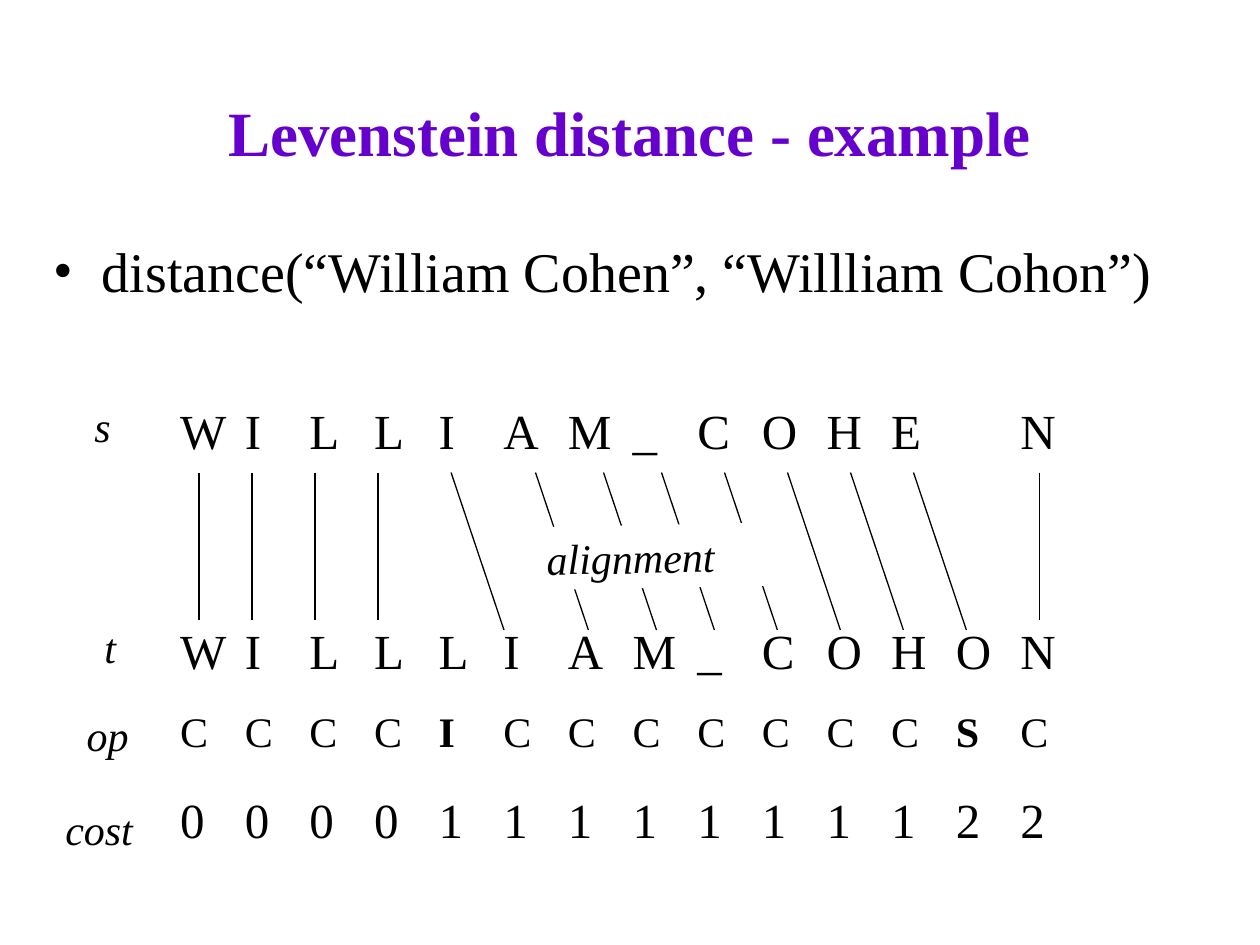
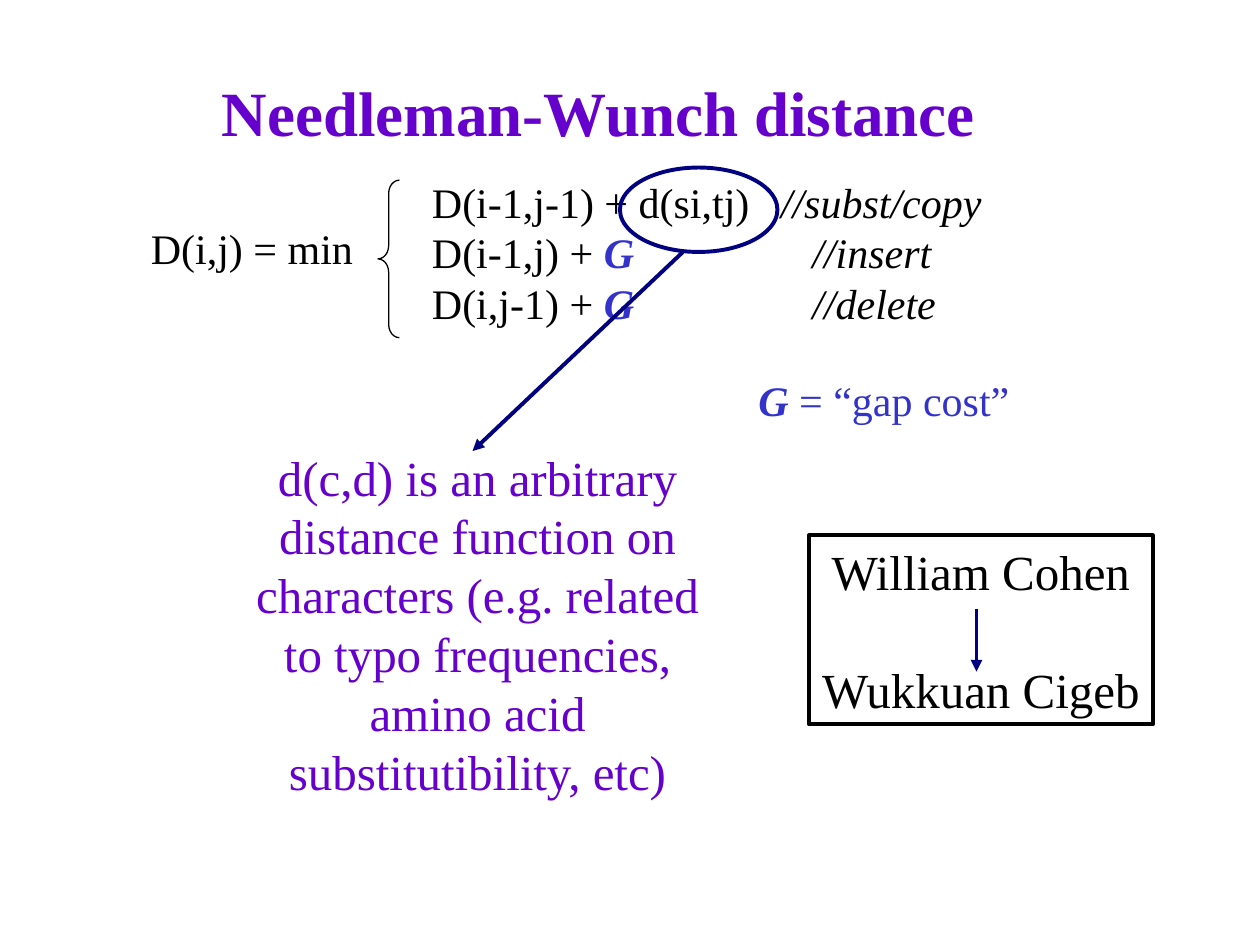
"""Build two slides on edit distances: an alignment example and a recurrence."""
import dataclasses

import pptx
import pptx.dml.color
import pptx.enum.shapes
import pptx.enum.text
import pptx.oxml
import pptx.oxml.ns
import pptx.util

Inches = pptx.util.Inches
Pt = pptx.util.Pt
Kind = pptx.enum.shapes.MSO_SHAPE
Align = pptx.enum.text.PP_ALIGN
Anchor = pptx.enum.text.MSO_ANCHOR

FONT = "Times New Roman"
HUES = {"ink": "000000", "head": "6600CC", "gap": "3333CC",
        "mark": "000080", "paper": "FFFFFF"}


@dataclasses.dataclass
class Bit:
    """A stretch of text with one look."""
    text: str
    hue: str = "ink"
    bold: bool = False
    slant: bool = False


@dataclasses.dataclass
class Label:
    """A text box with one list of bits per line."""
    box: tuple[float, float, float, float]
    lines: list[list[Bit]]
    size: int = 24
    align: Align = Align.LEFT


@dataclasses.dataclass
class Row:
    """A table row with one letter per column."""
    text: str
    high: float
    size: int = 28
    bold: str = ""


@dataclasses.dataclass
class Stroke:
    """A straight line between two points."""
    start: tuple[float, float]
    end: tuple[float, float]
    hue: str = "ink"
    width: float = 0.75
    arrow: bool = False


ROWS = [Row("WILLIAM_COHE N", 0.58), Row(" " * 14, 1.17),
        Row("WILLLIAM_COHON", 0.67), Row("CCCCICCCCCCCSC", 0.67, 24, "IS"),
        Row("00001111111122", 0.75)]
TAGS = [Label((0.65, 3.13, 0.4, 0.5), [[Bit("s", slant=True)]]),
        Label((0.73, 4.88, 0.4, 0.5), [[Bit("t", slant=True)]]),
        Label((0.59, 5.58, 0.6, 0.5), [[Bit("op", slant=True)]]),
        Label((0.42, 6.33, 0.9, 0.5), [[Bit("cost", slant=True)]])]
STRAIGHT = [1.58, 2, 2.5, 3, 8.25]
SLOPED = [3.58, 4.25, 4.79] + [5.25 + 0.5 * step for step in range(5)]


def tint(hue: str) -> pptx.dml.color.RGBColor:
    """Return a named colour."""
    return pptx.dml.color.RGBColor.from_string(HUES[hue])


def make(tag: str, inner: str = "", **attrs: str):
    """Make a drawing element with attributes and inner markup."""
    pairs = " ".join(f'{name}="{value}"' for name, value in attrs.items())
    return pptx.oxml.parse_xml(
        f'<a:{tag} {pptx.oxml.ns.nsdecls("a")} {pairs}>{inner}</a:{tag}>')


def style(font, size: int, bit: Bit) -> None:
    """Give a font the deck's face and the look of a bit."""
    font.name, font.size = FONT, Pt(size)
    font.bold, font.italic = bit.bold, bit.slant
    font.color.rgb = tint(bit.hue)


def write(frame, lines: list[list[Bit]], size: int, align: Align) -> None:
    """Fill a text frame line by line."""
    for num, bits in enumerate(lines):
        para = frame.add_paragraph() if num else frame.paragraphs[0]
        para.alignment = align
        for bit in bits:
            run = para.add_run()
            run.text = bit.text
            style(run.font, size, bit)


def add_label(slide, label: Label):
    """Add a text box and return its frame."""
    frame = slide.shapes.add_textbox(*map(Inches, label.box)).text_frame
    frame.word_wrap = True
    write(frame, label.lines, label.size, label.align)
    return frame


def add_shape(slide, kind: Kind, box: tuple[float, float, float, float],
              fill: str = "", line: str = "", width: float = 2.25):
    """Add a preset shape; an empty colour name means none."""
    shape = slide.shapes.add_shape(kind, *map(Inches, box))
    shape.shadow.inherit = False
    if fill:
        shape.fill.solid()
        shape.fill.fore_color.rgb = tint(fill)
    else:
        shape.fill.background()
    if line:
        shape.line.color.rgb = tint(line)
        shape.line.width = Pt(width)
    else:
        shape.line.fill.background()
    return shape


def add_line(slide, stroke: Stroke) -> None:
    """Draw a straight line, with an arrowhead if asked."""
    line = slide.shapes.add_connector(
        pptx.enum.shapes.MSO_CONNECTOR.STRAIGHT,
        *map(Inches, stroke.start + stroke.end))
    line.line.color.rgb = tint(stroke.hue)
    line.line.width = Pt(stroke.width)
    props = line._element.spPr
    if stroke.arrow:
        props.find(pptx.oxml.ns.qn("a:ln")).append(
            make("tailEnd", type="triangle"))
    props.append(make("effectLst"))


def add_slide(deck, title: str, box: tuple[float, float, float, float]):
    """Add a title-only slide with its title in place."""
    slide = deck.slides.add_slide(deck.slide_layouts[5])
    head = slide.shapes.title
    head.left, head.top, head.width, head.height = map(Inches, box)
    frame = head.text_frame
    frame.text = title
    frame.vertical_anchor = Anchor.MIDDLE
    para = frame.paragraphs[0]
    para.alignment = Align.CENTER
    style(para.runs[0].font, 36, Bit(title, "head", True))
    return slide


def add_grid(slide) -> None:
    """Add the table of letters, operations and costs."""
    count = len(ROWS[0].text)
    grid = slide.shapes.add_table(
        len(ROWS), count, *map(Inches, (1.33, 3.17, 7.92, 3.83))).table
    grid.first_row = grid.horz_banding = False
    for num, col in enumerate(grid.columns):
        col.width = Inches(1.25 if num == count - 1 else 6.67 / (count - 1))
    for row, line in zip(ROWS, grid.rows):
        line.height = Inches(row.high)
        for char, cell in zip(row.text, line.cells):
            cell.fill.background()
            if char != " ":
                bit = Bit(char, bold=char in row.bold)
                write(cell.text_frame, [[bit]], row.size, Align.LEFT)


def add_example(deck) -> None:
    """Build the alignment example."""
    slide = add_slide(deck, "Levenstein distance - example",
                      (0.75, 0.42, 8.5, 1.25))
    call = Bit("distance(“William Cohen”, “Willliam Cohon”)")
    frame = add_label(slide, Label((0.33, 1.83, 9.33, 0.92), [[call]], 32))
    props = frame.paragraphs[0]._p.get_or_add_pPr()
    props.set("marL", str(Inches(0.38)))
    props.set("indent", str(Inches(-0.38)))
    props.append(make("buFont", typeface=FONT))
    props.append(make("buChar", char="•"))
    add_grid(slide)
    for left in STRAIGHT:
        add_line(slide, Stroke((left, 3.75), (left, 4.92)))
    for left in SLOPED:
        add_line(slide, Stroke((left, 3.75), (left + 0.42, 5)))
    for tag in TAGS:
        add_label(slide, tag)
    note = add_shape(slide, Kind.RECTANGLE, (3.92, 4.17, 2.17, 0.5), "paper")
    note.rotation = 358.9
    write(note.text_frame, [[Bit("alignment", slant=True)]], 24, Align.CENTER)


def add_rule(deck) -> None:
    """Build the recurrence with its notes."""
    slide = add_slide(deck, "Needleman-Wunch distance", (0.5, 0.42, 8.5, 0.92))
    brace = add_shape(slide, Kind.LEFT_BRACE, (3, 1.43, 0.17, 1.25),
                      line="ink", width=0.75)
    brace.adjustments[0] = 0.62
    add_label(slide, Label((0.9, 1.72, 2, 0.5), [[Bit("D(i,j) = min")]],
                           align=Align.RIGHT))
    gap = Bit("G", "gap", True, True)
    cases = [[Bit("D(i-1,j-1) + d(si,tj)"), Bit("\t//subst/copy", slant=True)],
             [Bit("D(i-1,j) + "), gap, Bit("\t//insert", slant=True)],
             [Bit("D(i,j-1) + "), gap, Bit("\t//delete", slant=True)]]
    frame = add_label(slide, Label((3.33, 1.35, 4.8, 1.3), cases))
    for para, stop in zip(frame.paragraphs, (2.77, 3.02, 3.02)):
        tab = f'<a:tab pos="{Inches(stop)}" algn="l"/>'
        para._p.get_or_add_pPr().append(make("tabLst", tab))
    add_shape(slide, Kind.OVAL, (4.92, 1.33, 1.25, 0.67), line="mark")
    add_line(slide, Stroke((5.42, 2), (3.75, 3.58), "mark", 2.25, True))
    note = Bit("d(c,d) is an arbitrary distance function on characters "
               "(e.g. related to typo frequencies, amino acid "
               "substitutibility, etc)", "head")
    add_label(slide, Label((1.83, 3.5, 3.92, 2.9), [[note]], 28,
                           Align.CENTER))
    card = add_shape(slide, Kind.RECTANGLE, (6.42, 4.25, 2.73, 1.5),
                     line="ink").text_frame
    card.word_wrap = False
    card.vertical_anchor = Anchor.TOP
    write(card, [[Bit("William Cohen")], [Bit("Wukkuan Cigeb")]], 28,
          Align.CENTER)
    card.paragraphs[1].space_before = Pt(34)
    add_line(slide, Stroke((7.75, 4.83), (7.75, 5.33), "mark", 2.25, True))
    add_label(slide, Label((5.82, 2.92, 2.39, 0.5),
                           [[Bit("G ", "gap", True, True),
                             Bit("= “gap cost”", "gap")]],
                           align=Align.CENTER))


def main() -> None:
    """Build and save the deck."""
    deck = pptx.Presentation()
    deck.slide_width, deck.slide_height = Inches(10), Inches(7.5)
    add_example(deck)
    add_rule(deck)
    deck.save("out.pptx")


if __name__ == "__main__":
    main()
